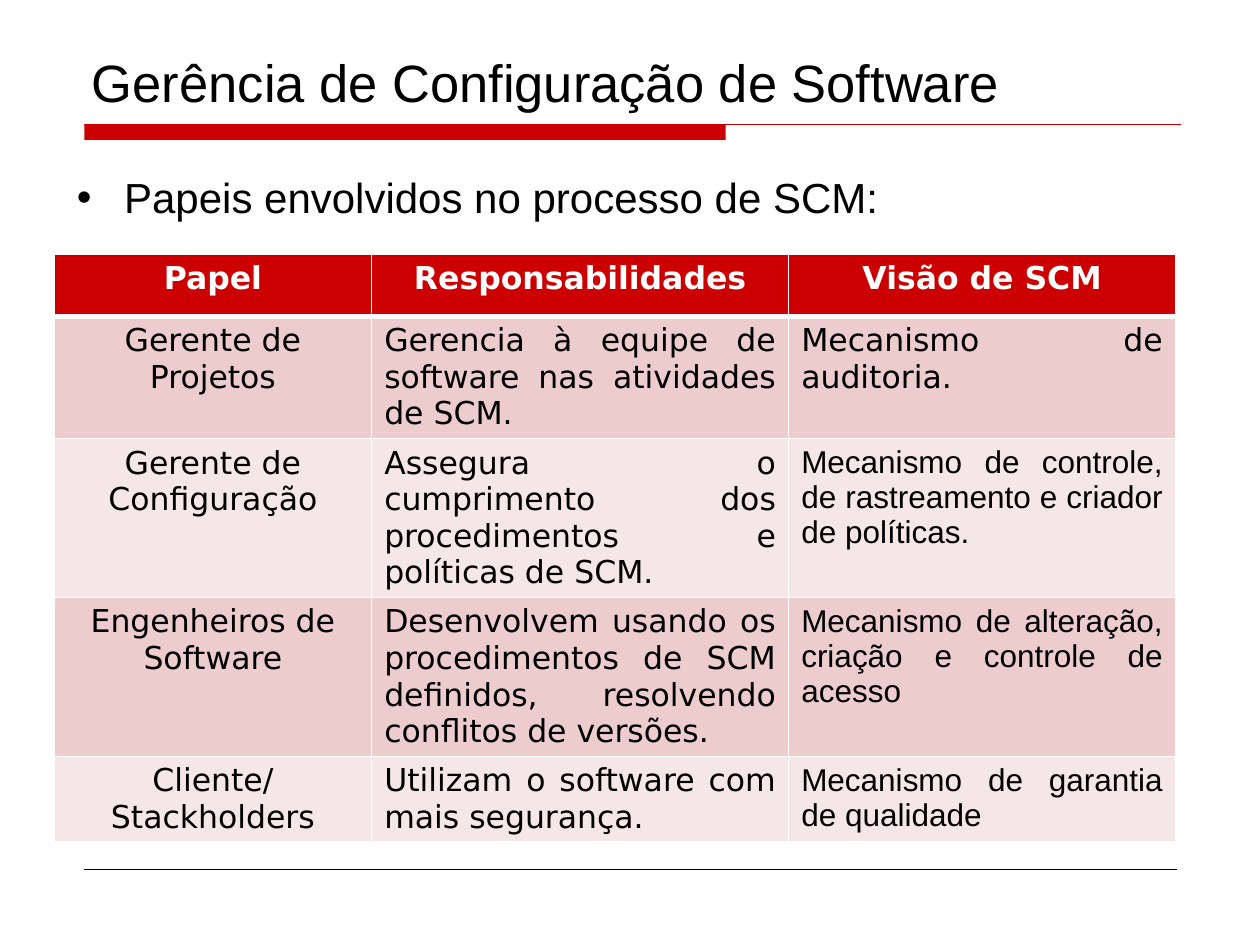
from lxml.etree import SubElement
from pptx import Presentation
from pptx.dml.color import RGBColor
from pptx.enum.shapes import MSO_CONNECTOR, MSO_SHAPE
from pptx.enum.text import MSO_ANCHOR, PP_ALIGN
from pptx.oxml.ns import qn
from pptx.util import Inches, Pt

COLORS = {
    "accent": "CC0000",
    "band_dark": "ECCCCC",
    "band_light": "F6E7E7",
    "text": "000000",
    "white": "FFFFFF",
    "footer": "000000",
}
SANS = "Arial"
WIDE = "DejaVu Sans"

TITLE_FORMAT = {"name": SANS, "size": Pt(30), "bold": False}
LIST_FORMAT = {"name": SANS, "size": Pt(24), "bold": False}
HEADER_FORMAT = {"name": WIDE, "size": Pt(18), "bold": True}
CELL_FORMAT = {"name": WIDE, "size": Pt(18), "bold": False}
CELL_ARIAL = {**CELL_FORMAT, "name": SANS}

COLUMN_WIDTHS = [2.52, 3.31, 3.07]
ROW_HEIGHTS = [0.49, 0.97, 1.26, 1.26, 0.67]
ROLES = [
    ["Papel", "Responsabilidades", "Visão de SCM"],
    ["Gerente de Projetos",
     "Gerencia à equipe de software nas atividades de SCM.",
     "Mecanismo de auditoria."],
    ["Gerente de Configuração",
     "Assegura o cumprimento dos procedimentos e políticas de SCM. ",
     "Mecanismo de controle, de rastreamento e criador de políticas. "],
    ["Engenheiros de Software",
     "Desenvolvem usando os procedimentos de SCM definidos, resolvendo conflitos de versões.",
     "Mecanismo de alteração, criação e controle de acesso "],
    ["Cliente/Stackholders",
     "Utilizam o software com mais segurança.",
     "Mecanismo de garantia de qualidade "],
]


def color(name):
    return RGBColor.from_string(COLORS[name])


def write(frame, text, formats, align, color_name="text"):
    para = frame.paragraphs[0]
    para.alignment = align
    para.space_before = Pt(0)
    span = para.add_run()
    span.text = text
    for key, value in formats.items():
        setattr(span.font, key, value)
    span.font.color.rgb = color(color_name)


def place(shape, box):
    for key, value in zip(("left", "top", "width", "height"), box):
        setattr(shape, key, Inches(value))


def add_title(page, box):
    title = page.shapes.title
    place(title, box)
    title.text_frame.vertical_anchor = MSO_ANCHOR.BOTTOM
    write(title.text_frame, "Gerência de Configuração de Software", TITLE_FORMAT, PP_ALIGN.LEFT)


def add_list(page, box):
    body = page.placeholders[1]
    place(body, box)
    write(body.text_frame, "Papeis envolvidos no processo de SCM: ", LIST_FORMAT, PP_ALIGN.JUSTIFY)


def add_rule(page, left, top, width, color_name, weight):
    rule = page.shapes.add_connector(
        MSO_CONNECTOR.STRAIGHT, Inches(left), Inches(top), Inches(left + width), Inches(top))
    rule.line.color.rgb = color(color_name)
    rule.line.width = Pt(weight)
    SubElement(rule._element.spPr, qn("a:effectLst"))


def add_banner(page, box):
    left, top, width, height = box
    bar = page.shapes.add_shape(MSO_SHAPE.RECTANGLE, 0, 0, 0, 0)
    place(bar, (left, top, 5.09, height))
    bar.shadow.inherit = False
    bar.fill.solid()
    bar.fill.fore_color.rgb = color("accent")
    bar.line.fill.background()
    add_rule(page, left, top, width, "accent", 0.75)


def set_borders(cell, widths):
    properties = cell._tc.get_or_add_tcPr()
    for side, width in widths.items():
        line = SubElement(properties, qn(f"a:ln{side}"), w=str(Pt(width)))
        fill = SubElement(line, qn("a:solidFill"))
        SubElement(fill, qn("a:srgbClr"), val=COLORS["white"])


def fill_cell(cell, text, row, column):
    header = row == 0
    last_row = len(ROLES) - 1
    set_borders(cell, {"L": 1, "R": 1, "T": 3 if row == 1 else 1, "B": 3 if header else 1})
    band = "accent" if header else "band_dark" if row % 2 else "band_light"
    cell.fill.solid()
    cell.fill.fore_color.rgb = color(band)
    if header:
        formats = HEADER_FORMAT
    else:
        formats = CELL_ARIAL if column == 2 and 2 <= row <= last_row else CELL_FORMAT
    align = PP_ALIGN.CENTER if header or column == 0 else PP_ALIGN.JUSTIFY
    write(cell.text_frame, text, formats, align, "white" if header else "text")


def add_roles_table(page, box):
    table = page.shapes.add_table(len(ROLES), len(COLUMN_WIDTHS), *map(Inches, box)).table
    for column, width in zip(table.columns, COLUMN_WIDTHS):
        column.width = Inches(width)
    for row, height in zip(table.rows, ROW_HEIGHTS):
        row.height = Inches(height)
    for row, texts in enumerate(ROLES):
        for column, text in enumerate(texts):
            fill_cell(table.cell(row, column), text, row, column)


def main():
    deck = Presentation()
    deck.slide_width, deck.slide_height = Inches(10), Inches(7.5)
    page = deck.slides.add_slide(deck.slide_layouts[1])
    add_banner(page, (0.67, 0.99, 8.7, 0.12))
    add_rule(page, 0.67, 6.9, 8.67, "footer", 0.25)
    add_list(page, (0.51, 1.31, 9, 0.51))
    add_title(page, (0.63, 0.05, 8.75, 0.9))
    add_roles_table(page, (0.43, 2.02, sum(COLUMN_WIDTHS), sum(ROW_HEIGHTS)))
    deck.save("out.pptx")


if __name__ == "__main__":
    main()
